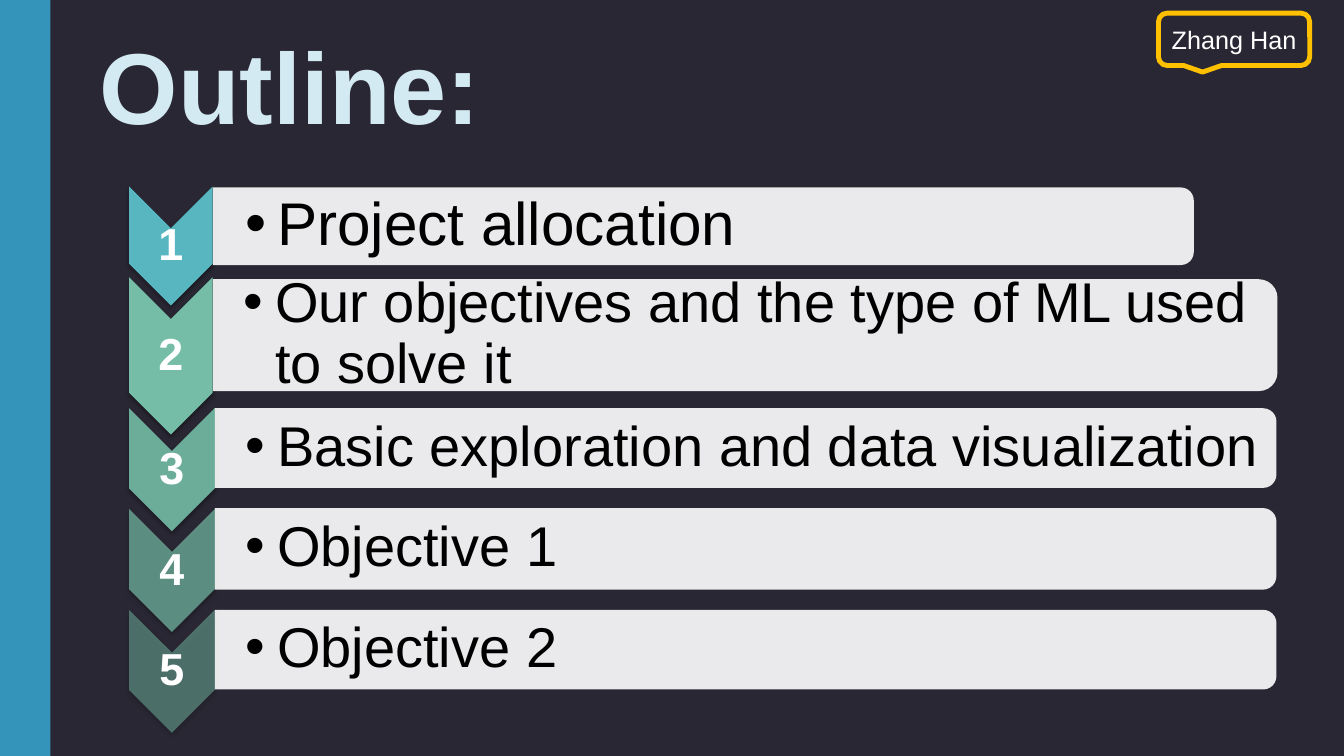
from lxml import etree
from pptx import Presentation
from pptx import util as u
from pptx.dml.color import RGBColor
from pptx.enum import shapes, text
from pptx.oxml import ns

PX = 9144
KIND = shapes.MSO_SHAPE
MID = text.MSO_ANCHOR.MIDDLE
ALIGN = text.PP_ALIGN
rgb = RGBColor.from_string

deck = Presentation()
deck.slide_width, deck.slide_height = 1333 * PX, 750 * PX
slide = deck.slides.add_slide(deck.slide_layouts[6])
slide.background.fill.solid()
slide.background.fill.fore_color.rgb = rgb("292733")


def draw(kind, left, top, wide, high, fill, alpha=100, turn=0):
    if turn:
        left, top = left + (wide - high) / 2, top + (high - wide) / 2
        wide, high = high, wide
    box = [round(n * PX) for n in (left, top, wide, high)]
    shape = slide.shapes.add_shape(kind, *box)
    shape.shadow.inherit = False
    shape.rotation = turn
    shape.line.fill.background()
    if fill is None:
        shape.fill.background()
        return shape
    shape.fill.solid()
    shape.fill.fore_color.rgb = rgb(fill)
    if alpha < 100:
        tint = shape._element.spPr.find(".//" + ns.qn("a:srgbClr"))
        etree.SubElement(tint, ns.qn("a:alpha"), val=str(alpha * 1000))
    return shape


def write(shape, words, size, color, bold=False, align=ALIGN.CENTER,
          pad=(10, 5, 10, 5), space=1.0, wrap=True, bullet=False, anchor=MID):
    frame = shape.text_frame
    form = {"word_wrap": wrap, "vertical_anchor": anchor}
    sides = ("left", "top", "right", "bottom")
    form.update({"margin_" + s: n * PX for s, n in zip(sides, pad)})
    for name, value in form.items():
        setattr(frame, name, value)
    para = frame.paragraphs[0]
    para.text = words
    para.alignment = align
    para.line_spacing = space
    if bullet:
        props = para._p.get_or_add_pPr()
        props.set("marL", str(31 * PX))
        props.set("indent", str(-31 * PX))
        etree.SubElement(props, ns.qn("a:buFont"), typeface="Arial")
        etree.SubElement(props, ns.qn("a:buChar"), char="•")
    font = para.runs[0].font
    style = {"name": "Arial", "size": u.Pt(size), "bold": bold}
    for name, value in style.items():
        setattr(font, name, value)
    font.color.rgb = rgb(color)


draw(KIND.RECTANGLE, 0, 0, 50, 750, "3494BA")

title = slide.shapes.add_textbox(87 * PX, 19 * PX, 402 * PX, 131 * PX)
write(title, "Outline:", 72, "D4EAF3", bold=True, wrap=False,
      anchor=text.MSO_ANCHOR.TOP)

rows = [
    ("Project allocation", 43, "58B6C0", 100, (185, 83, 118), (186, 973, 77)),
    ("Our objectives and the type of ML used to solve it", 40, "75BDA7", 100,
     (275, 83, 156), (277, 1056, 111)),
    ("Basic exploration and data visualization", 40, "75BDA7", 90,
     (405, 85, 122), (405, 1053, 79)),
    ("Objective 1", 40, "75BDA7", 70, (505, 85, 122), (504, 1053, 81)),
    ("Objective 2", 40, "75BDA7", 50, (605, 85, 122), (605, 1053, 79)),
]
edge = 128
for step, (words, size, color, alpha, mark, bar) in enumerate(rows, 1):
    top, wide, high = mark
    arrow = draw(KIND.CHEVRON, edge, top, wide, high, color, alpha, 90)
    glow = arrow._element.spPr.find(ns.qn("a:effectLst"))
    shade = etree.SubElement(glow, ns.qn("a:outerShdw"), blurRad="39370",
                             dist="22860", dir="5400000", rotWithShape="0")
    black = etree.SubElement(shade, ns.qn("a:srgbClr"), val="000000")
    etree.SubElement(black, ns.qn("a:alpha"), val="35000")
    label = slide.shapes.add_textbox(
        edge * PX, round((top + wide / 2) * PX), wide * PX, (high - wide) * PX)
    write(label, str(step), 32, "FFFFFF", bold=True, pad=(2, 2, 2, 2), space=0.9)

    left = edge + wide
    top, wide, high = bar
    draw(KIND.ROUND_2_SAME_RECTANGLE, left, top, wide, high, "FFFFFF", 90, 90)
    label = slide.shapes.add_textbox(
        left * PX, (top + 4) * PX, (wide - 4) * PX, (high - 8) * PX)
    write(label, words, size, "000000", align=ALIGN.LEFT,
          pad=(33 if size > 40 else 31, 3, 3, 3), space=0.9, bullet=True)

badge = draw(KIND.ROUNDED_RECTANGULAR_CALLOUT, 1149, 13, 150, 52, None)
badge.line.color.rgb = rgb("FFC000")
badge.line.width = u.Pt(3.5)
write(badge, "Zhang Han", 18, "FFFFFF")

deck.save("out.pptx")
